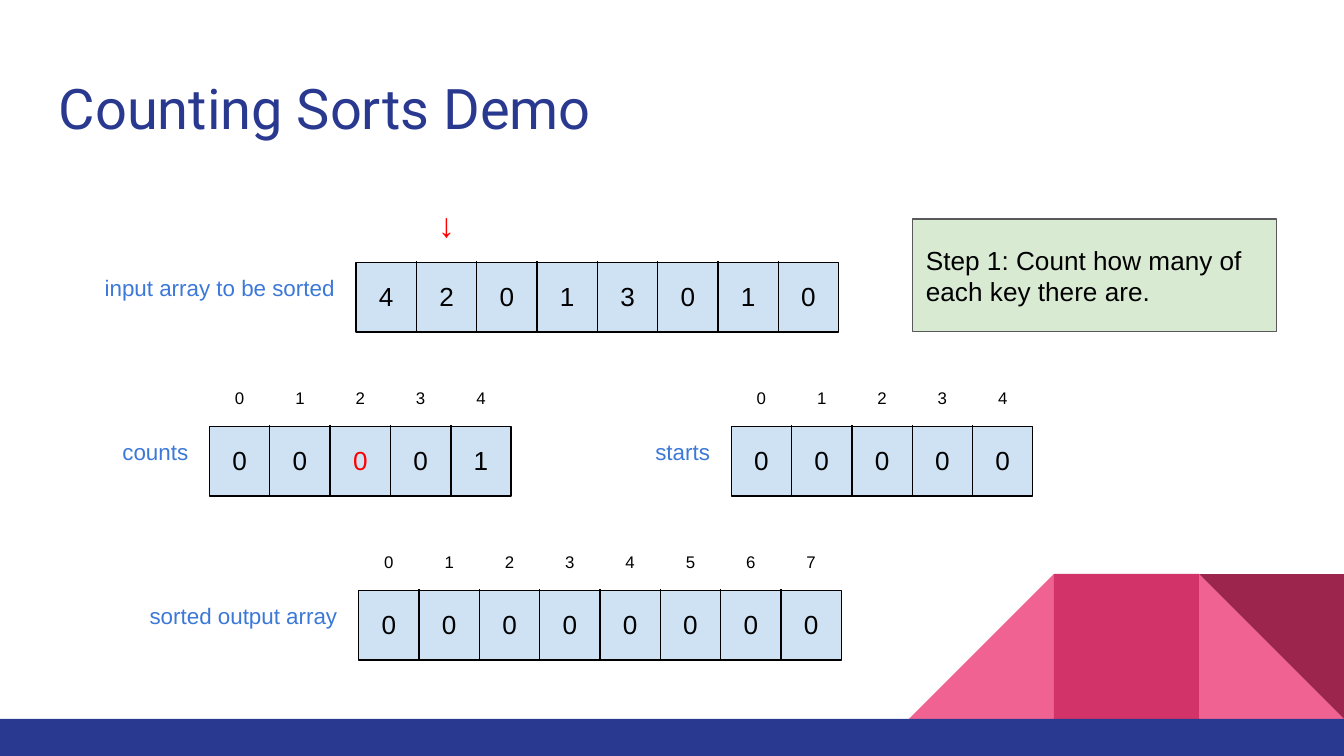
from dataclasses import dataclass

from lxml import etree
from pptx import Presentation
from pptx.dml.color import RGBColor
from pptx.enum.shapes import MSO_CONNECTOR, MSO_SHAPE
from pptx.enum.text import MSO_ANCHOR, PP_ALIGN
from pptx.oxml.ns import qn
from pptx.util import Cm, Pt

RECTANGLE, TRIANGLE = MSO_SHAPE.RECTANGLE, MSO_SHAPE.RIGHT_TRIANGLE
STRAIGHT = MSO_CONNECTOR.STRAIGHT
TOP, MIDDLE = MSO_ANCHOR.TOP, MSO_ANCHOR.MIDDLE
LEFT, CENTER, RIGHT = PP_ALIGN.LEFT, PP_ALIGN.CENTER, PP_ALIGN.RIGHT

BLACK, RED, NAVY, LABEL_BLUE = "000000", "FF0000", "2A3990", "3C78D8"
CELL_BLUE, STEP_GREEN, STEP_BORDER = "CFE2F3", "D9EAD3", "595959"
PINK, MAGENTA, MAROON = "F06292", "D23369", "9C254D"

# All lengths are in centimetres.
SLIDE_WIDTH, SLIDE_HEIGHT = 25.4, 14.29
INSET = 0.25
CELL_WIDTH, CELL_HEIGHT = 1.14, 1.35
CELL_OVERHANG = 0.03
INDEX_HEIGHT = 0.89
LABEL_GAP = 0.15
TILE = 2.74
FOOTER_HEIGHT = 0.7


@dataclass
class Array:
    label: str
    label_width: float
    left: float
    top: float
    values: str
    indexed: bool = True
    active: int | None = None


@dataclass
class Tile:
    kind: MSO_SHAPE
    column: int
    color: str
    rotation: int = 0


INPUT = Array("input array to be sorted", 5.46, 6.73, 4.93, "42013010", indexed=False)
ARRAYS = [
    INPUT,
    Array("counts", 2.72, 3.96, 8.03, "00001", active=2),
    Array("starts", 2.72, 13.82, 8.03, "00000"),
    Array("sorted output array", 4.8, 6.78, 11.13, "00000000"),
]
POINTER_COLUMN = 1

TILES = [
    Tile(TRIANGLE, 2, PINK),
    Tile(TRIANGLE, 0, PINK, 270),
    Tile(RECTANGLE, 1, MAGENTA),
    Tile(TRIANGLE, 2, MAROON, 180),
]


def rgb(color: str) -> RGBColor:
    return RGBColor.from_string(color)


def set_text(shape, text: str, size: float, color: str = BLACK, align=CENTER,
             anchor=TOP, font: str = "Arial") -> None:
    frame = shape.text_frame
    frame.text = text
    frame.word_wrap = True
    frame.vertical_anchor = anchor
    frame.margin_left = frame.margin_right = Cm(INSET)
    frame.margin_top = frame.margin_bottom = Cm(INSET)
    paragraph = frame.paragraphs[0]
    paragraph.alignment = align
    run_font = paragraph.runs[0].font
    run_font.name, run_font.size = font, Pt(size)
    run_font.color.rgb = rgb(color)


def add_text(slide, left: float, top: float, width: float, height: float,
             text: str, size: float, **style) -> None:
    box = slide.shapes.add_textbox(Cm(left), Cm(top), Cm(width), Cm(height))
    set_text(box, text, size, **style)


def add_block(slide, kind, left: float, top: float, width: float, height: float,
              fill: str, border: str | None = None):
    block = slide.shapes.add_shape(kind, Cm(left), Cm(top), Cm(width), Cm(height))
    block.shadow.inherit = False
    block.fill.solid()
    block.fill.fore_color.rgb = rgb(fill)
    if border:
        block.line.color.rgb = rgb(border)
        block.line.width = Pt(0.75)
    else:
        block.line.fill.background()
    return block


def add_divider(slide, x: float, top: float) -> None:
    divider = slide.shapes.add_connector(
        STRAIGHT, Cm(x), Cm(top), Cm(x), Cm(top + CELL_HEIGHT))
    divider.line.color.rgb = rgb(BLACK)
    divider.line.width = Pt(0.75)
    etree.SubElement(divider._element.spPr, qn("a:effectLst"))


def add_array(slide, array: Array) -> None:
    """Draw the framed cells with their values, indices and label."""
    add_block(slide, RECTANGLE, array.left, array.top + CELL_OVERHANG,
              CELL_WIDTH * len(array.values), CELL_HEIGHT - CELL_OVERHANG,
              CELL_BLUE, BLACK)
    for index, value in enumerate(array.values):
        x = array.left + index * CELL_WIDTH
        if index:
            add_divider(slide, x, array.top)
        add_text(slide, x, array.top, CELL_WIDTH, CELL_HEIGHT, value, 14,
                 color=RED if index == array.active else BLACK, anchor=MIDDLE)
        if array.indexed:
            add_text(slide, x, array.top - INDEX_HEIGHT, CELL_WIDTH, INDEX_HEIGHT,
                     str(index), 9)
    add_text(slide, array.left - LABEL_GAP - array.label_width, array.top,
             array.label_width, CELL_HEIGHT, array.label, 12,
             color=LABEL_BLUE, align=RIGHT)


def add_decoration(slide) -> None:
    """Draw the footer band and the tiles standing on its right end."""
    footer_top = SLIDE_HEIGHT - FOOTER_HEIGHT
    tiles_left = SLIDE_WIDTH - 3 * TILE
    for tile in TILES:
        block = add_block(slide, tile.kind, tiles_left + tile.column * TILE,
                          footer_top - TILE, TILE, TILE, tile.color)
        block.rotation = tile.rotation
    add_block(slide, RECTANGLE, 0, footer_top, SLIDE_WIDTH, FOOTER_HEIGHT, NAVY)


def main() -> None:
    presentation = Presentation()
    presentation.slide_width = Cm(SLIDE_WIDTH)
    presentation.slide_height = Cm(SLIDE_HEIGHT)
    slide = presentation.slides.add_slide(presentation.slide_layouts[5])

    add_decoration(slide)
    title = slide.shapes.title
    title.left, title.top, title.width, title.height = Cm(0.86), Cm(1.14), Cm(23.67), Cm(1.68)
    set_text(title, "Counting Sorts Demo", 30, NAVY, LEFT, font="Roboto")

    for array in ARRAYS:
        add_array(slide, array)
    add_text(slide, INPUT.left + POINTER_COLUMN * CELL_WIDTH, 3.56,
             CELL_WIDTH, CELL_HEIGHT, "↓", 18, color=RED, anchor=MIDDLE)

    step = add_block(slide, RECTANGLE, 17.25, 4.14, 6.88, 2.13, STEP_GREEN, STEP_BORDER)
    set_text(step, "Step 1: Count how many of each key there are.", 14,
             align=LEFT, anchor=MIDDLE)

    presentation.save("out.pptx")


if __name__ == "__main__":
    main()
